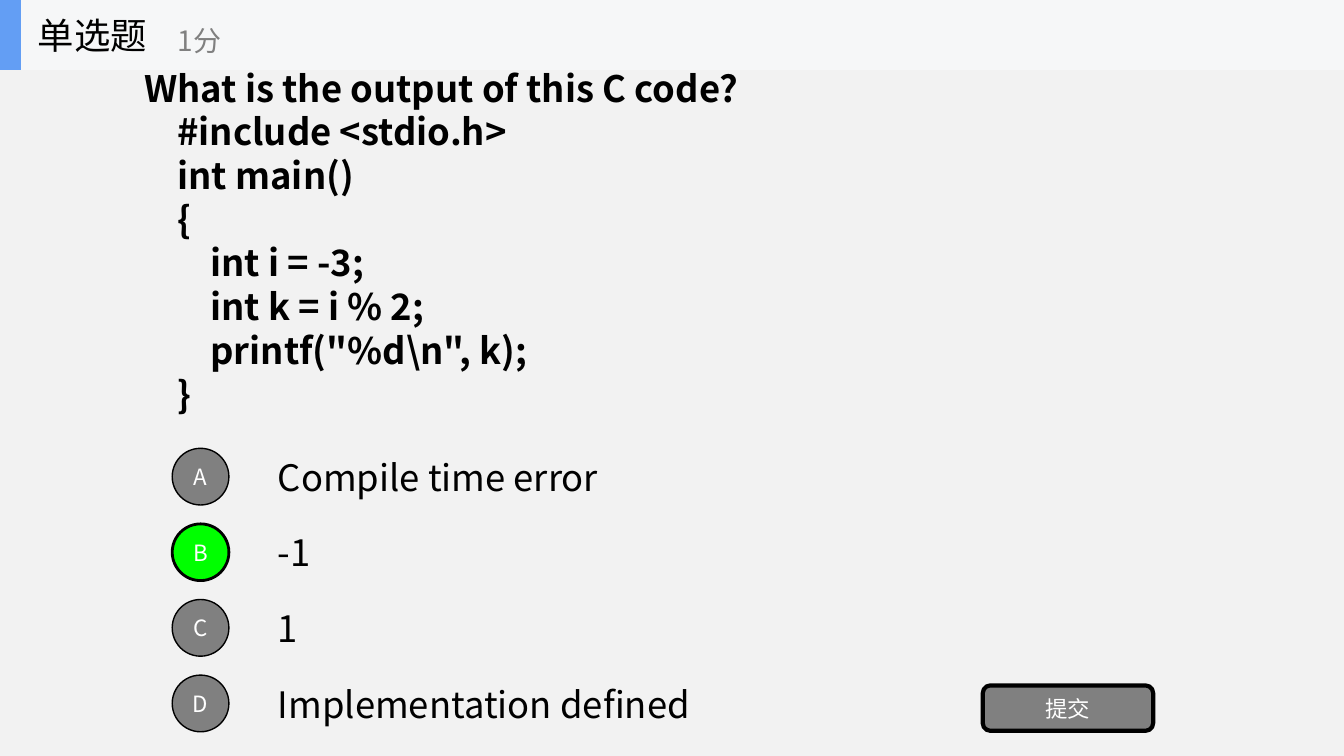
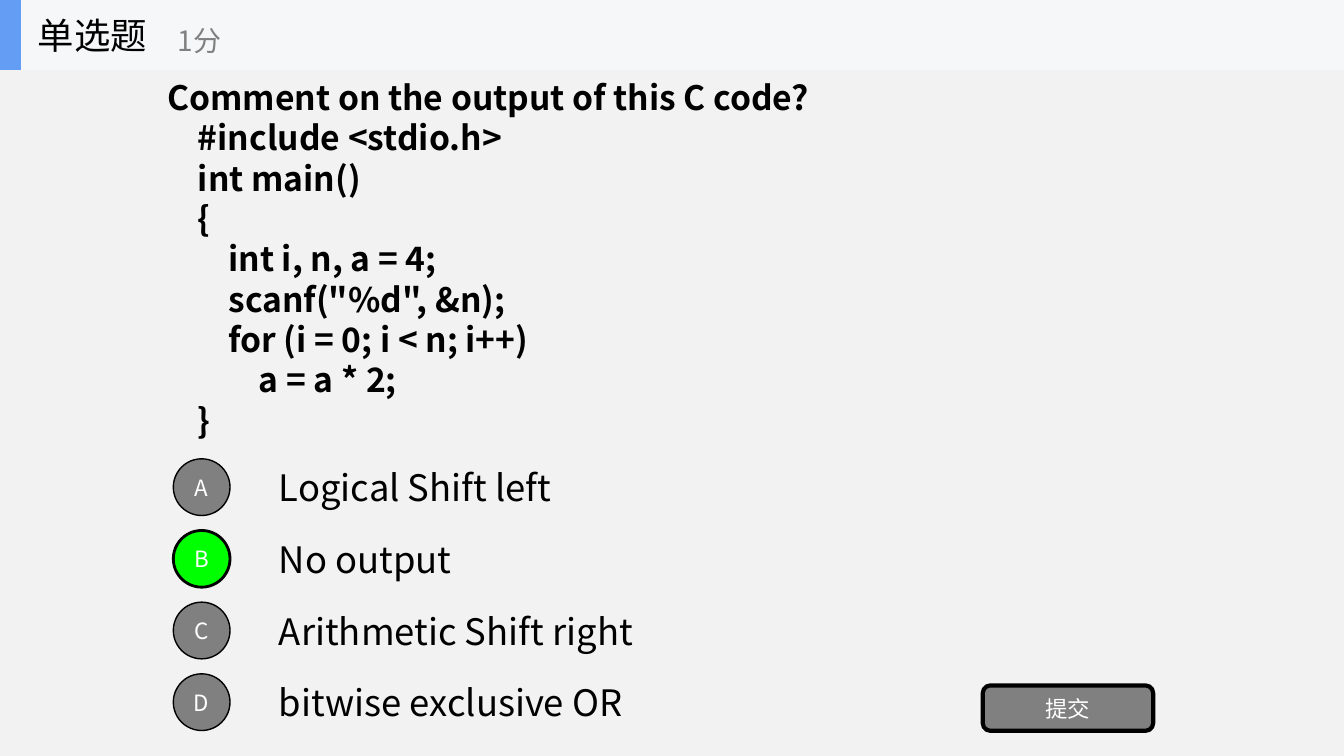
"""Build two single-choice quiz slides about C code."""
from lxml import etree
from pptx import Presentation
from pptx.dml.color import RGBColor
from pptx.enum.shapes import MSO_SHAPE as Shape
from pptx.enum.text import MSO_ANCHOR as Anchor, PP_ALIGN as Align
from pptx.oxml.ns import qn
from pptx.util import Pt

FONT = "Noto Sans CJK SC"
COLORS = {
    "page": "F2F2F2",
    "band": "F6F7F8",
    "accent": "639EF4",
    "ink": "000000",
    "muted": "808080",
    "correct": "00FF00",
    "light": "FFFFFF",
}
BAND_HEIGHT = 50
BADGE_SIZE = 40.5
ANSWER_HEIGHT = 39

QUESTIONS = [
    {
        "code": """What is the output of this C code?
    #include <stdio.h>
    int main()
    {
        int i = -3;
        int k = i % 2;
        printf("%d\\n", k);
    }""",
        "code_box": (96, 42.3, 707, 259),
        "code_size": 26,
        "answers": [("Compile time error", 250), ("-1", 41), ("1", 30),
                    ("Implementation defined", 315)],
        "correct": "B",
        "first_badge": (123, 320.2),
        "pitch": 54,
    },
    {
        "code": """Comment on the output of this C code?
    #include <stdio.h>
    int main()
    {
        int i, n, a = 4;
        scanf("%d", &n);
        for (i = 0; i < n; i++)
            a = a * 2;
    }""",
        "code_box": (112.5, 50, 513, 269),
        "code_size": 24,
        "answers": [("Logical Shift left", 215), ("No output", 144),
                    ("Arithmetic Shift right", 276), ("bitwise exclusive OR", 266)],
        "correct": "B",
        "first_badge": (123.8, 327.7),
        "pitch": 51.2,
    },
]


def rgb(name):
    return RGBColor.from_string(COLORS[name])


def write(frame, text, size, color="ink", bold=False, align=Align.LEFT, leading=None):
    frame.vertical_anchor = Anchor.MIDDLE
    for index, line in enumerate(text.split("\n")):
        paragraph = frame.add_paragraph() if index else frame.paragraphs[0]
        paragraph.text = line
        paragraph.alignment = align
        if leading:
            paragraph.line_spacing = Pt(leading)
        font = paragraph.font
        font.name, font.size, font.bold = FONT, Pt(size), bold
        font.color.rgb = rgb(color)
        defaults = paragraph._p.pPr.find(qn("a:defRPr"))
        etree.SubElement(defaults, qn("a:ea")).set("typeface", FONT)


def add_label(shapes, box, text, size, wrap=True, **style):
    frame = shapes.add_textbox(*map(Pt, box)).text_frame
    frame.word_wrap = wrap
    write(frame, text, size, **style)


def add_block(shapes, kind, box, fill, border=0):
    block = shapes.add_shape(kind, *map(Pt, box))
    block.shadow.inherit = False
    block.fill.solid()
    block.fill.fore_color.rgb = rgb(fill)
    if border:
        block.line.color.rgb = rgb("ink")
        block.line.width = Pt(border)
    else:
        block.line.fill.background()
    return block


def add_button(shapes, kind, box, text, fill, border):
    frame = add_block(shapes, kind, box, fill, border).text_frame
    frame.margin_left = frame.margin_right = 0
    write(frame, text, 16, "light", align=Align.CENTER)


def add_header(slide):
    shapes = slide.shapes.add_group_shape().shapes
    add_block(shapes, Shape.RECTANGLE, (0, 0, 960, BAND_HEIGHT), "band")
    add_block(shapes, Shape.RECTANGLE, (0, 0, 15, BAND_HEIGHT), "accent")
    add_label(shapes, (20, 0, 150, BAND_HEIGHT), "单选题", 26, wrap=False)
    add_label(shapes, (120, 8.6, 180, 40), "1分", 20, wrap=False, color="muted")


def add_answers(slide, question):
    left, first_top = question["first_badge"]
    for index, (letter, (answer, width)) in enumerate(zip("ABCD", question["answers"])):
        top = first_top + index * question["pitch"]
        correct = letter == question["correct"]
        add_label(slide.shapes, (left + 68.4, top + 0.8, width, ANSWER_HEIGHT), answer, 26)
        add_button(slide.shapes, Shape.OVAL, (left, top, BADGE_SIZE, BADGE_SIZE), letter,
                   "correct" if correct else "muted", 2 if correct else 1)


def add_question(deck, question):
    slide = deck.slides.add_slide(deck.slide_layouts[6])
    size = question["code_size"]
    add_label(slide.shapes, question["code_box"], question["code"], size,
              bold=True, leading=size * 1.2)
    add_answers(slide, question)
    add_button(slide.shapes, Shape.ROUNDED_RECTANGLE, (702, 489.6, 121.7, 32.4),
               "提交", "muted", 3)
    add_header(slide)


def main():
    deck = Presentation()
    deck.slide_width, deck.slide_height = Pt(960), Pt(540)
    page = deck.slide_master.background.fill
    page.solid()
    page.fore_color.rgb = rgb("page")
    for question in QUESTIONS:
        add_question(deck, question)
    deck.save("out.pptx")


if __name__ == "__main__":
    main()
